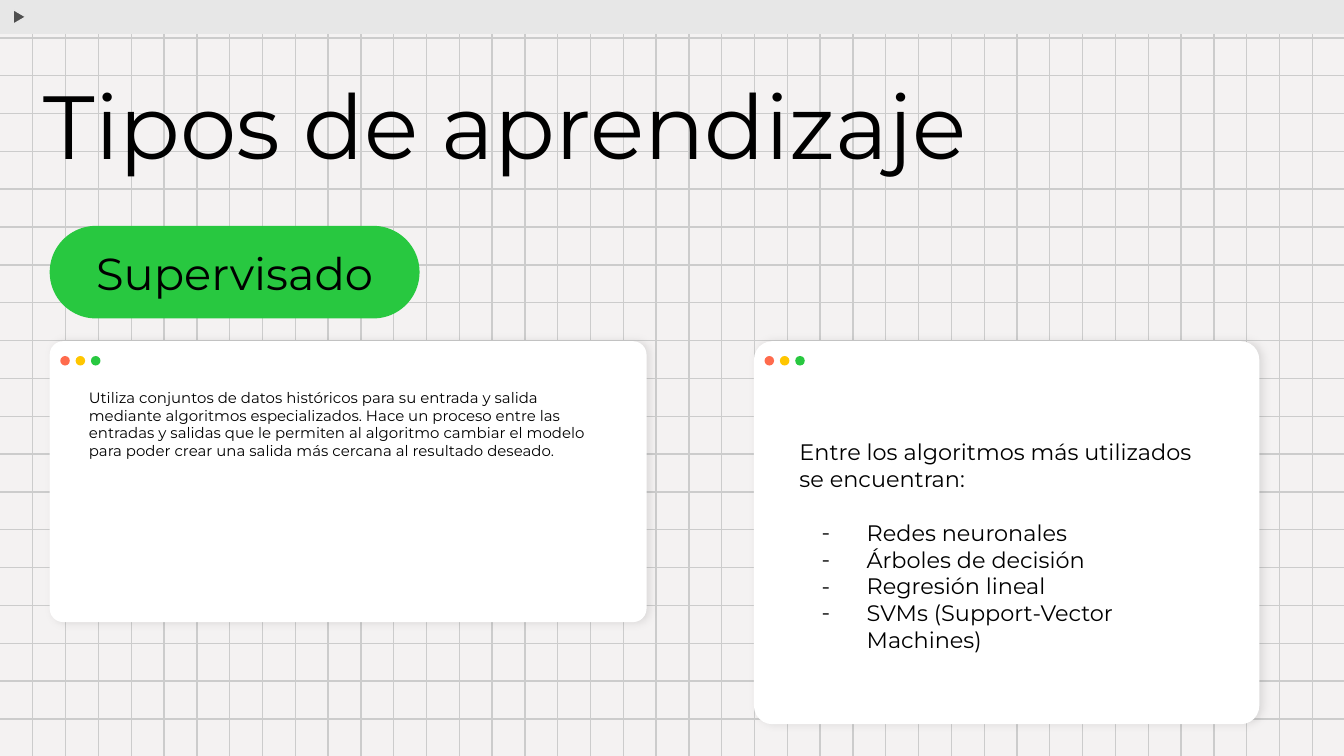
from dataclasses import dataclass

from lxml.etree import SubElement
from pptx import Presentation
from pptx.dml.color import RGBColor
from pptx.enum.shapes import MSO_CONNECTOR, MSO_SHAPE
from pptx.enum.text import MSO_ANCHOR, MSO_AUTO_SIZE, PP_ALIGN
from pptx.oxml.ns import qn
from pptx.shapes.autoshape import Shape
from pptx.slide import Slide
from pptx.text.text import TextFrame, _Paragraph
from pptx.util import Cm, Pt

BACKGROUND = RGBColor(0xF4, 0xF2, 0xF2)
GRID = RGBColor(0xCC, 0xCC, 0xCC)
BAR = RGBColor(0xE7, 0xE7, 0xE7)
ARROW = RGBColor(0x4F, 0x4F, 0x4F)
WHITE = RGBColor(0xFF, 0xFF, 0xFF)
BLACK = RGBColor(0x00, 0x00, 0x00)
RED = RGBColor(0xFF, 0x6B, 0x4D)
YELLOW = RGBColor(0xFF, 0xC6, 0x00)
GREEN = RGBColor(0x28, 0xC8, 0x40)

FONT = "Montserrat"
WIDTH, HEIGHT = 25.4, 14.29
COLUMNS, COLUMN_STEP = 40, 0.62
ROWS, ROW_STEP = 19, 13.59 / 19
DOT_SIZE, DOT_STEP = 0.18, 0.29

ALGORITHMS = (
    "Redes neuronales",
    "Árboles de decisión",
    "Regresión lineal",
    "SVMs (Support-Vector Machines)",
)


@dataclass(frozen=True)
class Box:
    left: float
    top: float
    width: float
    height: float

    def lengths(self) -> tuple[Cm, Cm, Cm, Cm]:
        return Cm(self.left), Cm(self.top), Cm(self.width), Cm(self.height)


WINDOWS = (Box(0.94, 6.45, 11.28, 5.31), Box(14.25, 6.45, 9.55, 7.24))


def add_grid_line(slide: Slide, start: tuple[float, float], end: tuple[float, float]) -> None:
    line = slide.shapes.add_connector(
        MSO_CONNECTOR.STRAIGHT, Cm(start[0]), Cm(start[1]), Cm(end[0]), Cm(end[1])
    )
    line.line.color.rgb = GRID
    line.line.width = Pt(0.75)
    SubElement(line.element.spPr, qn("a:effectLst"))


def add_grid(slide: Slide) -> None:
    for row in range(1, ROWS + 1):
        add_grid_line(slide, (0, row * ROW_STEP), (WIDTH, row * ROW_STEP))
    for column in range(1, COLUMNS + 1):
        add_grid_line(slide, (column * COLUMN_STEP, 0), (column * COLUMN_STEP, HEIGHT))


def add_filled_shape(slide: Slide, kind: MSO_SHAPE, box: Box, color: RGBColor) -> Shape:
    shape = slide.shapes.add_shape(kind, *box.lengths())
    shape.shadow.inherit = False
    shape.fill.solid()
    shape.fill.fore_color.rgb = color
    shape.line.fill.background()
    return shape


def add_soft_shadow(shape: Shape) -> None:
    effects = shape.element.spPr.find(qn("a:effectLst"))
    shadow = SubElement(
        effects, qn("a:outerShdw"), blurRad=str(Pt(4.5)), dist=str(Pt(1.5)),
        dir="0", algn="bl", rotWithShape="0",
    )
    color = SubElement(shadow, qn("a:srgbClr"), val=str(BLACK))
    SubElement(color, qn("a:alpha"), val="10000")


def add_window(slide: Slide, box: Box) -> None:
    card = add_filled_shape(slide, MSO_SHAPE.ROUNDED_RECTANGLE, box, WHITE)
    card.adjustments[0] = 0.048
    add_soft_shadow(card)
    for index, color in enumerate((RED, YELLOW, GREEN)):
        dot = Box(box.left + 0.2 + index * DOT_STEP, box.top + 0.28, DOT_SIZE, DOT_SIZE)
        add_filled_shape(slide, MSO_SHAPE.OVAL, dot, color)


def format_frame(frame: TextFrame, anchor: MSO_ANCHOR = MSO_ANCHOR.TOP) -> None:
    frame.word_wrap = True
    frame.auto_size = MSO_AUTO_SIZE.NONE
    frame.vertical_anchor = anchor
    frame.margin_left = frame.margin_right = Cm(0.25)
    frame.margin_top = frame.margin_bottom = Cm(0.25)


def write(paragraph: _Paragraph, text: str, size: float, align: PP_ALIGN = PP_ALIGN.LEFT) -> None:
    paragraph.alignment = align
    run = paragraph.add_run()
    run.text = text
    run.font.name = FONT
    run.font.size = Pt(size)
    run.font.color.rgb = BLACK


def add_text(slide: Slide, box: Box, text: str, size: float) -> TextFrame:
    frame = slide.shapes.add_textbox(*box.lengths()).text_frame
    format_frame(frame)
    write(frame.paragraphs[0], text, size)
    return frame


def add_dash(paragraph: _Paragraph) -> None:
    properties = paragraph._p.get_or_add_pPr()
    properties.set("marL", str(Cm(1.27)))
    properties.set("indent", str(Cm(-0.85)))
    color = SubElement(properties, qn("a:buClr"))
    SubElement(color, qn("a:srgbClr"), val=str(BLACK))
    SubElement(properties, qn("a:buFont"), typeface=FONT)
    SubElement(properties, qn("a:buChar"), char="-")


def add_title(slide: Slide, box: Box, text: str) -> None:
    title = slide.shapes.title
    title.left, title.top, title.width, title.height = box.lengths()
    slide.shapes.element.append(title.element)
    format_frame(title.text_frame)
    paragraph = title.text_frame.paragraphs[0]
    paragraph.line_spacing = 0.9
    write(paragraph, text, 48)


def main() -> None:
    presentation = Presentation()
    presentation.slide_width = Cm(WIDTH)
    presentation.slide_height = Cm(HEIGHT)
    slide = presentation.slides.add_slide(presentation.slide_layouts[5])
    slide.background.fill.solid()
    slide.background.fill.fore_color.rgb = BACKGROUND

    add_grid(slide)
    add_filled_shape(slide, MSO_SHAPE.RECTANGLE, Box(0, 0, WIDTH, 0.64), BAR)
    arrow = add_filled_shape(
        slide, MSO_SHAPE.ISOSCELES_TRIANGLE, Box(0.23, 0.2, 0.28, 0.24), ARROW
    )
    arrow.rotation = 90
    arrow.line.color.rgb = BAR
    arrow.line.width = Pt(0.75)

    for window in WINDOWS:
        add_window(slide, window)

    badge = add_filled_shape(
        slide, MSO_SHAPE.ROUNDED_RECTANGLE, Box(0.94, 4.27, 6.99, 1.75), GREEN
    )
    badge.adjustments[0] = 0.5
    format_frame(badge.text_frame, MSO_ANCHOR.MIDDLE)
    write(badge.text_frame.paragraphs[0], "Supervisado", 24, PP_ALIGN.CENTER)

    add_text(
        slide,
        Box(1.43, 7.09, 10.39, 4.11),
        "Utiliza conjuntos de datos históricos para su entrada y salida mediante "
        "algoritmos especializados. Hace un proceso entre las entradas y salidas "
        "que le permiten al algoritmo cambiar el modelo para poder crear una "
        "salida más cercana al resultado deseado.",
        8,
    )
    add_title(slide, Box(0.58, 1.3, 20.4, 2.36), "Tipos de aprendizaje")

    frame = add_text(
        slide,
        Box(14.86, 8.03, 8.33, 4.62),
        "Entre los algoritmos más utilizados se encuentran:",
        12,
    )
    for index, algorithm in enumerate(ALGORITHMS):
        paragraph = frame.add_paragraph()
        add_dash(paragraph)
        paragraph.space_before = Pt(14.5 if index == 0 else 0)
        write(paragraph, algorithm, 12)

    presentation.save("out.pptx")


if __name__ == "__main__":
    main()
